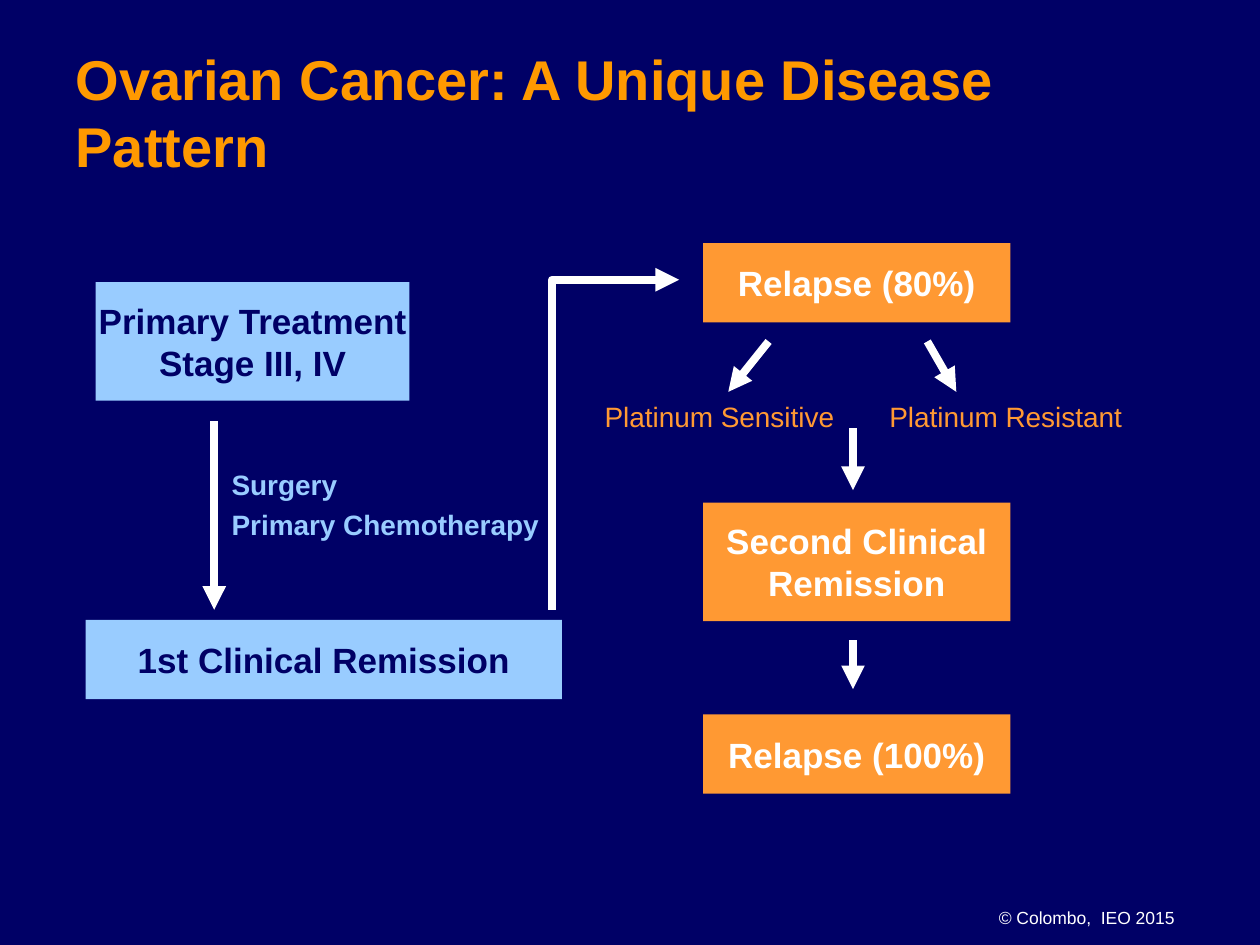
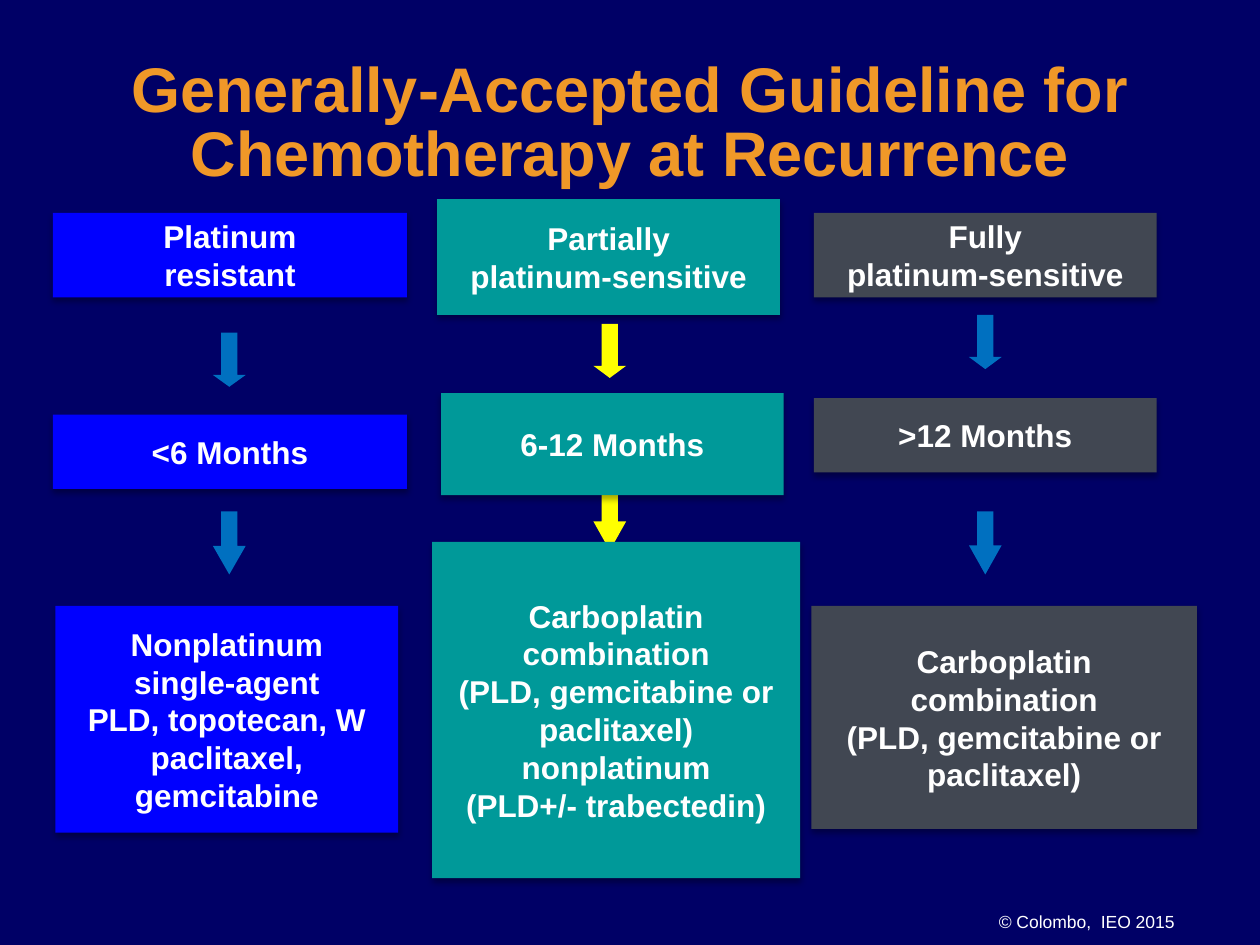
"""Build two slides on ovarian cancer: disease pattern and treatment at recurrence."""
from lxml.etree import SubElement
from pptx import Presentation
from pptx.dml.color import RGBColor
from pptx.enum.shapes import MSO_CONNECTOR, MSO_SHAPE
from pptx.enum.text import MSO_ANCHOR, MSO_AUTO_SIZE, PP_ALIGN
from pptx.oxml import parse_xml
from pptx.oxml.ns import nsdecls, qn
from pptx.util import Inches, Pt

NAVY = RGBColor(0x00, 0x00, 0x66)
WHITE = RGBColor(0xFF, 0xFF, 0xFF)
AMBER = RGBColor(0xFF, 0x99, 0x00)
GOLD = RGBColor(0xF0, 0x98, 0x28)
ORANGE = RGBColor(0xFF, 0x99, 0x33)
SKY = RGBColor(0x99, 0xCC, 0xFF)
BLUE = RGBColor(0x00, 0x00, 0xFF)
TEAL = RGBColor(0x00, 0x99, 0x99)
SLATE = RGBColor(0x41, 0x47, 0x52)
AZURE = RGBColor(0x00, 0x70, 0xC0)
YELLOW = RGBColor(0xFF, 0xFF, 0x00)

FONT = "Arial"
COPYRIGHT = "© Colombo,  IEO 2015"

PATTERN_TITLE = "Ovarian Cancer: A Unique Disease Pattern"
RELAPSE_LEFT, RELAPSE_WIDTH = 5.58, 2.44
ONE_LINE, TWO_LINES = 0.63, 0.94
STAGES = [
    (["Primary Treatment", "Stage III, IV"], (0.76, 2.24, 2.49, TWO_LINES), SKY, NAVY),
    (["1st Clinical Remission"], (0.68, 4.92, 3.78, ONE_LINE), SKY, NAVY),
    (["Relapse (80%)"], (RELAPSE_LEFT, 1.93, RELAPSE_WIDTH, ONE_LINE), ORANGE, WHITE),
    (["Second Clinical", "Remission"],
     (RELAPSE_LEFT, 3.99, RELAPSE_WIDTH, TWO_LINES), ORANGE, WHITE),
    (["Relapse (100%)"], (RELAPSE_LEFT, 5.67, RELAPSE_WIDTH, ONE_LINE), ORANGE, WHITE),
]
STEPS = [
    (1.7, 3.34, 1.7, 4.84),
    (6.1, 2.71, 5.78, 3.11),
    (7.36, 2.71, 7.59, 3.11),
    (6.77, 3.4, 6.77, 3.89),
    (6.77, 5.08, 6.77, 5.47),
]
RELAPSE_PATH = [(4.38, 4.84), (4.38, 2.22), (5.39, 2.22)]
LABELS = [
    (["Surgery", "Primary Chemotherapy"], (1.74, 3.5, 2.7, 0.95), SKY, True, 1.2),
    (["Platinum Sensitive"], (4.7, 3.11, 2.2, 0.39), ORANGE, False, None),
    (["Platinum Resistant"], (6.96, 3.11, 2.2, 0.39), ORANGE, False, None),
]

GUIDELINE_TITLE = "Generally-Accepted Guideline for Chemotherapy at Recurrence"
ARROW_WIDTH = 0.26
GROUPS = [
    {"fill": SLATE, "arrow": AZURE, "middle": 7.82,
     "arrows": [(2.5, 0.43, 0.37), (4.06, 0.5, 0.89)],
     "boxes": [
         (["Fully\nplatinum-sensitive"], (6.46, 1.69, 2.72, 0.67)),
         ([">12 Months"], (6.46, 3.16, 2.72, 0.59)),
         (["Carboplatin combination", "(PLD, gemcitabine or paclitaxel)"],
          (6.44, 4.81, 3.06, 1.77))]},
    {"fill": BLUE, "arrow": AZURE, "middle": 1.82,
     "arrows": [(2.64, 0.43, 0.36), (4.06, 0.5, 0.87)],
     "boxes": [
         (["Platinum\nresistant"], (0.42, 1.69, 2.81, 0.67)),
         (["<6 Months"], (0.42, 3.29, 2.81, 0.59)),
         (["Nonplatinum", "single-agent", "PLD, topotecan, W paclitaxel, gemcitabine"],
          (0.44, 4.81, 2.72, 1.8))]},
    {"fill": TEAL, "arrow": YELLOW, "middle": 4.84,
     "arrows": [(2.57, 0.43, 0.37), (3.87, 0.5, 0.89)],
     "boxes": [
         (["Partially\nplatinum-sensitive"], (3.47, 1.58, 2.72, 0.92)),
         (["6-12 Months"], (3.5, 3.12, 2.72, 0.81)),
         (["Carboplatin combination", "(PLD, gemcitabine or paclitaxel)", "nonplatinum",
           "(PLD+/- trabectedin)"], (3.43, 4.3, 2.92, 2.67))]},
]


def inches(*lengths):
    return [Inches(length) for length in lengths]


def shadow_xml(blur, distance, angle, alpha):
    return parse_xml(
        f'<a:effectLst {nsdecls("a")}><a:outerShdw blurRad="{Pt(blur)}" dist="{Pt(distance)}" '
        f'dir="{angle * 60000}" algn="ctr" rotWithShape="0"><a:srgbClr val="000000">'
        f'<a:alpha val="{alpha * 1000}"/></a:srgbClr></a:outerShdw></a:effectLst>')


def write(frame, paragraphs, size, color, bold=False, align=PP_ALIGN.LEFT,
          anchor=MSO_ANCHOR.MIDDLE, spacing=None, margins=(0.1, 0.05)):
    frame.word_wrap = True
    frame.auto_size = MSO_AUTO_SIZE.NONE
    frame.vertical_anchor = anchor
    frame.margin_left = frame.margin_right = Inches(margins[0])
    frame.margin_top = frame.margin_bottom = Inches(margins[1])
    for index, text in enumerate(paragraphs):
        paragraph = frame.add_paragraph() if index else frame.paragraphs[0]
        paragraph.alignment = align
        paragraph.line_spacing = spacing
        for line_index, line in enumerate(text.split("\n")):
            if line_index:
                paragraph.add_line_break()
            run = paragraph.add_run()
            run.text = line
            run.font.size = Pt(size)
            run.font.bold = bold
            run.font.color.rgb = color
            run.font.name = FONT


def add_slide(prs, title, place, size, color, footer_top, **style):
    slide = prs.slides.add_slide(prs.slide_layouts[5])
    heading = slide.shapes.title
    heading.left, heading.top, heading.width, heading.height = inches(*place)
    write(heading.text_frame, [title], size, color, True, **style)
    footer = slide.shapes.add_textbox(*inches(7.76, footer_top, 1.66, 0.27))
    write(footer.text_frame, [COPYRIGHT], 10, WHITE, align=PP_ALIGN.RIGHT,
          anchor=MSO_ANCHOR.TOP, margins=(0.1, 0.06))
    return slide


def add_block(slide, preset, place, fill):
    block = slide.shapes.add_shape(preset, *inches(*place))
    block.shadow.inherit = False
    block.fill.solid()
    block.fill.fore_color.rgb = fill
    block.line.fill.background()
    return block


def style_arrow(arrow):
    arrow.line.color.rgb = WHITE
    arrow.line.width = Pt(4.5)
    SubElement(arrow.line._get_or_add_ln(), qn("a:tailEnd"), type="triangle")


def build_pattern(prs):
    slide = add_slide(prs, PATTERN_TITLE, (0.5, 0.46, 9, 0.85), 32, AMBER, 7.14)
    for lines, place, fill, color in STAGES:
        stage = add_block(slide, MSO_SHAPE.RECTANGLE, place, fill)
        write(stage.text_frame, lines, 20, color, True, PP_ALIGN.CENTER, margins=(0, 0.05))
    for ends in STEPS:
        step = slide.shapes.add_connector(MSO_CONNECTOR.STRAIGHT, *inches(*ends))
        style_arrow(step)
        SubElement(step._element.spPr, qn("a:effectLst"))
    start, *corners = [inches(*point) for point in RELAPSE_PATH]
    builder = slide.shapes.build_freeform(*start)
    builder.add_line_segments(corners, close=False)
    to_relapse = builder.convert_to_shape()
    to_relapse.fill.background()
    to_relapse.shadow.inherit = False
    style_arrow(to_relapse)
    for lines, place, color, bold, spacing in LABELS:
        label = slide.shapes.add_textbox(*inches(*place))
        write(label.text_frame, lines, 16, color, bold, spacing=spacing)


def build_guideline(prs):
    slide = add_slide(prs, GUIDELINE_TITLE, (0, 0.37, 10, 1.25), 36, GOLD, 7.17,
                      align=PP_ALIGN.CENTER, spacing=0.85)
    title_run = slide.shapes.title.text_frame.paragraphs[0].runs[0]
    title_run.font._element.find(qn("a:solidFill")).addnext(shadow_xml(0, 3, 45, 100))
    for group in GROUPS:
        for top, height, head in group["arrows"]:
            place = (group["middle"] - ARROW_WIDTH / 2, top, ARROW_WIDTH, height)
            arrow = add_block(slide, MSO_SHAPE.DOWN_ARROW, place, group["arrow"])
            arrow.adjustments[1] = head
        for lines, place in group["boxes"]:
            box = add_block(slide, MSO_SHAPE.RECTANGLE, place, group["fill"])
            properties = box._element.spPr
            properties.replace(properties.find(qn("a:effectLst")),
                               shadow_xml(3.5, 2.2, 90, 32))
            write(box.text_frame, lines, 18, WHITE, True, PP_ALIGN.CENTER)


def main():
    prs = Presentation()
    prs.slide_width, prs.slide_height = inches(10, 7.5)
    background = prs.slide_master.background.fill
    background.solid()
    background.fore_color.rgb = NAVY
    build_pattern(prs)
    build_guideline(prs)
    prs.save("out.pptx")


if __name__ == "__main__":
    main()
